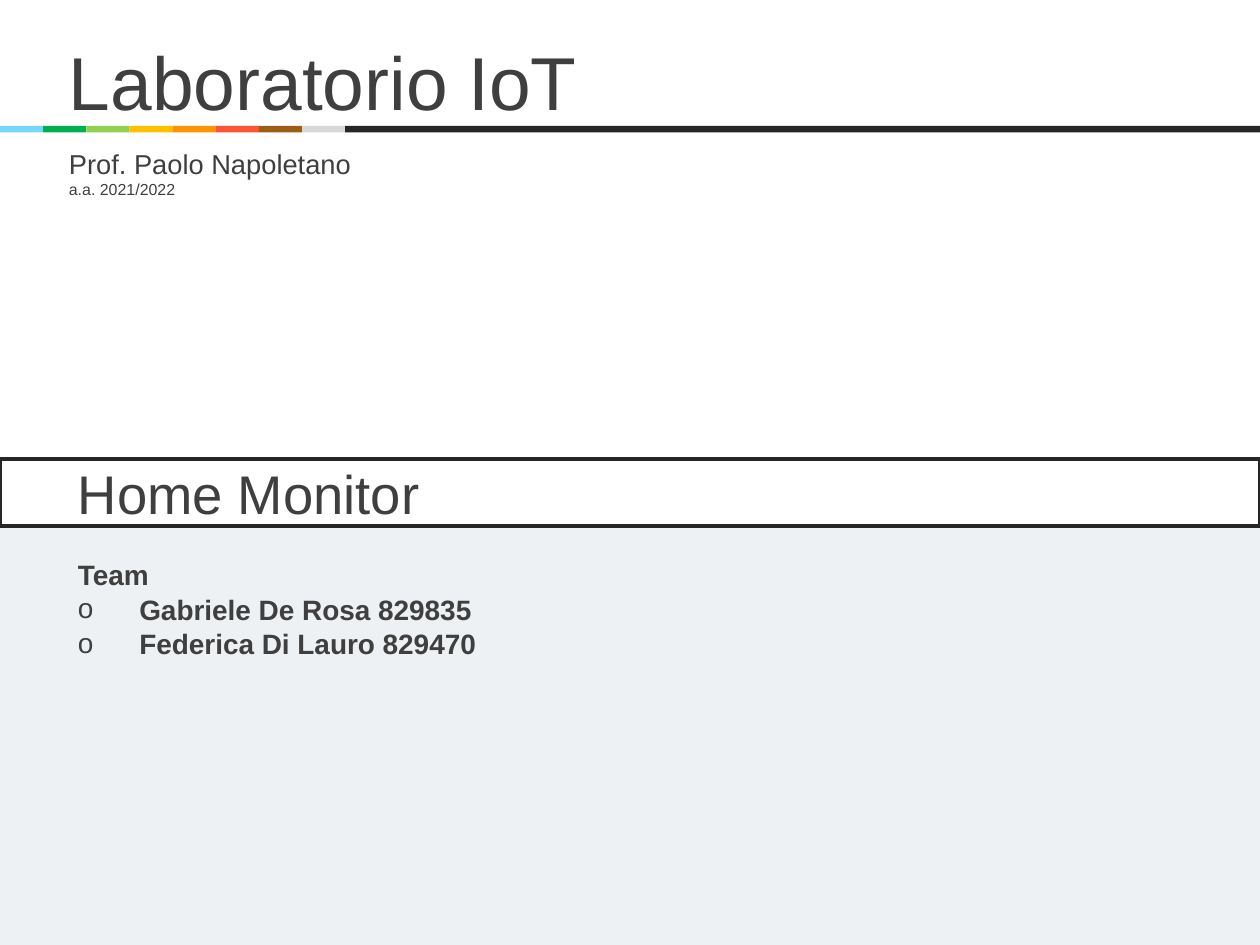
from lxml import etree
from pptx import Presentation
from pptx.dml.color import RGBColor
from pptx.enum.shapes import MSO_SHAPE
from pptx.enum.text import MSO_ANCHOR
from pptx.oxml.ns import qn
from pptx.util import Cm, Pt

RECT = MSO_SHAPE.RECTANGLE
BOTTOM = MSO_ANCHOR.BOTTOM
FONT = "Arial"
WIDE, HIGH = 25.4, 19.05
COLORS = {
    "text": "3F3F3F", "dark": "262626", "slate": "607D8B", "sky": "76D6FF",
    "green": "00B050", "lime": "92D050", "gold": "FFC000", "orange": "FF9300",
    "red": "FF2600", "brown": "945200", "gray": "D8D8D8",
}
STRIP = [("sky", 100), ("green", 100), ("lime", 100), ("gold", 100),
         ("orange", 100), ("red", 79), ("brown", 93), ("gray", 100)]


def color(name):
    """Return the named colour."""
    return RGBColor.from_string(COLORS[name])


def add_rect(slide, box, fill=None, alpha=100, line=None):
    """Draw a flat rectangle with an optional fill and outline."""
    shape = slide.shapes.add_shape(RECT, *map(Cm, box))
    shape.shadow.inherit = False
    if fill:
        shape.fill.solid()
        shape.fill.fore_color.rgb = color(fill)
        if alpha < 100:
            tint = shape.fill._xPr.find(".//" + qn("a:srgbClr"))
            etree.SubElement(tint, qn("a:alpha"), val=str(alpha * 1000))
    else:
        shape.fill.background()
    if line:
        shape.line.color.rgb = color(line)
        shape.line.width = Pt(2.25)
    else:
        shape.line.fill.background()


def add_bullet(par):
    """Give a paragraph a hanging round bullet."""
    props = par._p.get_or_add_pPr()
    props.set("marL", str(Cm(1.24)))
    props.set("indent", str(-Cm(1.24)))
    tint = etree.SubElement(props, qn("a:buClr"))
    etree.SubElement(tint, qn("a:srgbClr"), val=COLORS["text"])
    etree.SubElement(props, qn("a:buFont"), typeface=FONT)
    etree.SubElement(props, qn("a:buChar"), char="o")


def add_text(slide, box, lines):
    """Write lines of (text, size, bold, space before, bullet) from the bottom up."""
    frame = slide.shapes.add_textbox(*map(Cm, box)).text_frame
    frame.word_wrap = True
    frame.vertical_anchor = BOTTOM
    for i, (text, size, bold, gap, bullet) in enumerate(lines):
        par = frame.add_paragraph() if i else frame.paragraphs[0]
        par.space_before = Pt(gap)
        run = par.add_run()
        run.text = text
        run.font.name = FONT
        run.font.size = Pt(size)
        run.font.bold = bold
        run.font.color.rgb = color("text")
        if bullet:
            add_bullet(par)


def add_strip(slide, left, top, width):
    """Draw the row of coloured blocks that ends in a dark bar."""
    step, thick = 0.87, 0.13
    for i, (name, alpha) in enumerate(STRIP):
        add_rect(slide, (left + i * step, top, step, thick), name, alpha)
    used = len(STRIP) * step
    add_rect(slide, (left + used, top, width - used, thick), "dark")


def add_head(slide, left, top, width):
    """Place the course title, the strip and the teacher."""
    add_text(slide, (left + 1.14, top + 0.56, 23.27, 3.58), [
        ("Laboratorio IoT", 42.8, False, 0, False),
        ("Prof. Paolo Napoletano", 15.6, False, 12.6, False),
        ("a.a. 2021/2022", 9.1, False, 0, False),
    ])
    add_strip(slide, left, top + 2.54, width)


def add_team(slide, left, top, width, height):
    """Place the project title band and the team panel."""
    band = 1.35
    add_rect(slide, (left, top + band, width, height - band), "slate", 10)
    add_rect(slide, (left, top, width, band), line="dark")
    add_text(slide, (left + 1.32, top - 0.1, 22.94, 4.29), [
        ("Home Monitor", 31.1, False, 0, False),
        ("Team", 16, True, 18.4, False),
        ("Gabriele De Rosa 829835", 16, True, 0.7, True),
        ("Federica Di Lauro 829470", 16, True, 0.7, True),
    ])


def main():
    """Build and save the slide."""
    deck = Presentation()
    deck.slide_width, deck.slide_height = Cm(WIDE), Cm(HIGH)
    slide = deck.slides.add_slide(deck.slide_layouts[6])
    add_head(slide, 0, 0, WIDE)
    add_team(slide, 0, 9.25, WIDE, HIGH - 9.25)
    deck.save("out.pptx")


if __name__ == "__main__":
    main()
